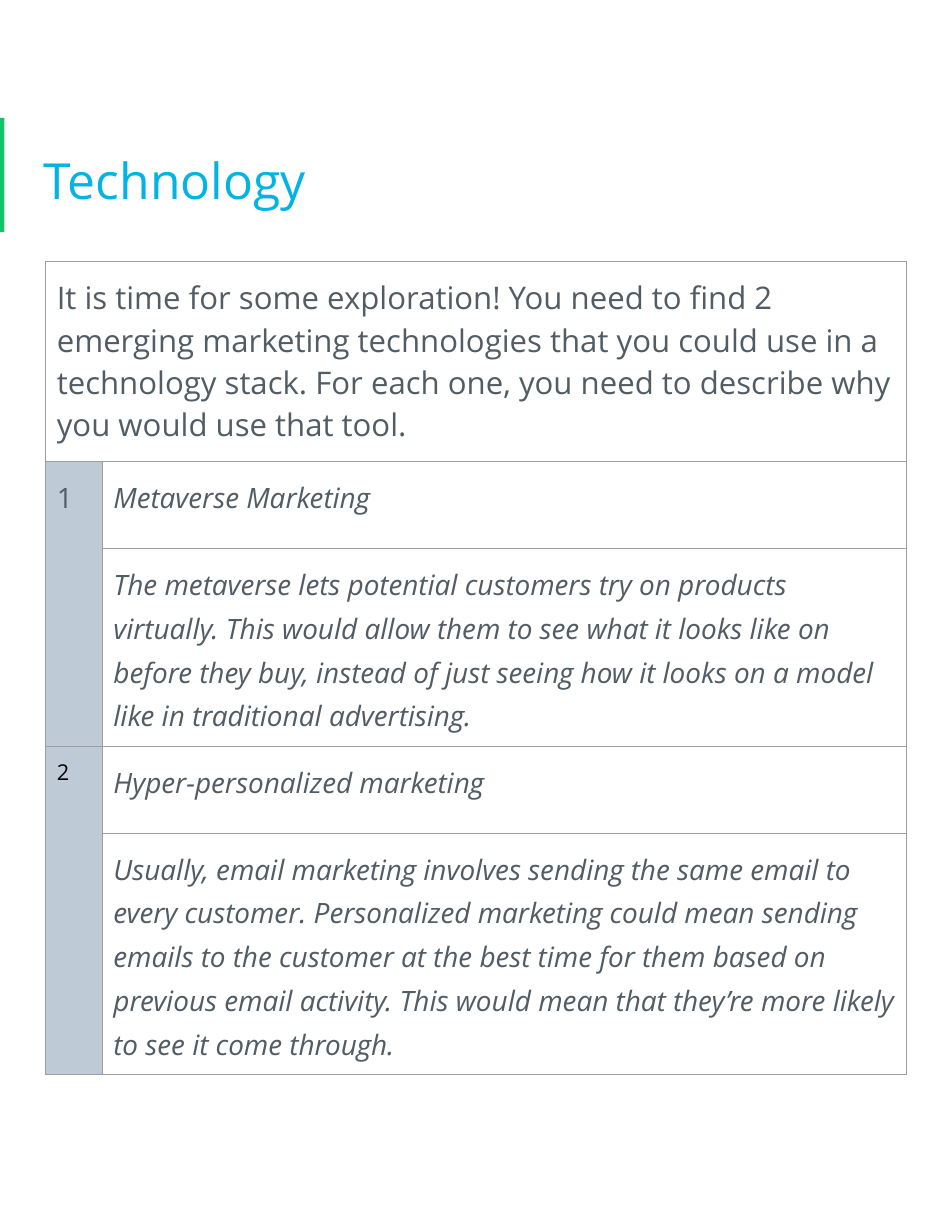
import lxml.etree
import pptx
import pptx.dml.color
import pptx.enum.shapes
import pptx.enum.text
import pptx.oxml.ns
import pptx.util

Pt = pptx.util.Pt
RGBColor = pptx.dml.color.RGBColor
MIDDLE = pptx.enum.text.MSO_ANCHOR.MIDDLE
TOP = pptx.enum.text.MSO_ANCHOR.TOP
qn = pptx.oxml.ns.qn

FONT = "Open Sans"
GREEN = RGBColor(0x15, 0xC2, 0x6B)
BLUE = RGBColor(0x02, 0xB3, 0xE4)
SLATE = RGBColor(0x52, 0x5C, 0x65)
BLACK = RGBColor(0, 0, 0)
PALE_BLUE = RGBColor(0xBE, 0xCB, 0xD6)
BORDER = RGBColor(0x9E, 0x9E, 0x9E)
INSET = Pt(7.2)


def add_borders(cell):
    properties = cell._tc.get_or_add_tcPr()
    for side in ("lnL", "lnR", "lnT", "lnB"):
        line = lxml.etree.SubElement(properties, qn(f"a:{side}"), w=str(Pt(0.75)))
        fill = lxml.etree.SubElement(line, qn("a:solidFill"))
        lxml.etree.SubElement(fill, qn("a:srgbClr"), val=str(BORDER))


def write(frame, text, size, color, italic=False, spacing=1.15):
    frame.text = text
    paragraph = frame.paragraphs[0]
    paragraph.alignment = pptx.enum.text.PP_ALIGN.LEFT
    paragraph.line_spacing = spacing
    font = paragraph.runs[0].font
    font.name, font.size, font.italic = FONT, Pt(size), italic
    font.color.rgb = color


deck = pptx.Presentation()
deck.slide_width, deck.slide_height = Pt(612), Pt(792)
slide = deck.slides.add_slide(deck.slide_layouts[5])

accent_bar = slide.shapes.add_shape(
    pptx.enum.shapes.MSO_SHAPE.RECTANGLE, 0, Pt(75.8), Pt(2.9), Pt(73.5))
accent_bar.shadow.inherit = False
accent_bar.fill.solid()
accent_bar.fill.fore_color.rgb = GREEN
accent_bar.line.fill.background()

title = slide.shapes.title
title.left, title.top, title.width, title.height = Pt(21), Pt(68.4), Pt(570), Pt(87.8)
frame = title.text_frame
frame.auto_size = pptx.enum.text.MSO_AUTO_SIZE.NONE
frame.vertical_anchor = MIDDLE
frame.margin_left = frame.margin_right = frame.margin_top = frame.margin_bottom = INSET
write(frame, "Technology", 32, BLUE)

# Table: one instruction row, then a name row and a reason row per technology
instruction = (
    "It is time for some exploration! You need to find 2 emerging marketing technologies "
    "that you could use in a technology stack. For each one, you need to describe why you "
    "would use that tool.")
technologies = [
    ("1", 18, SLATE, 1.15, "Metaverse Marketing",
     "The metaverse lets potential customers try on products virtually. This would allow them "
     "to see what it looks like on before they buy, instead of just seeing how it looks on a "
     "model like in traditional advertising."),
    ("2", 14, BLACK, 1.0, "Hyper-personalized marketing",
     "Usually, email marketing involves sending the same email to every customer. Personalized "
     "marketing could mean sending emails to the customer at the best time for them based on "
     "previous email activity. This would mean that they’re more likely to see it come through."),
]
column_widths = (36.4, 517)
row_heights = (129, 56, 101.5, 56, 105)

table = slide.shapes.add_table(
    len(row_heights), len(column_widths), Pt(29.3), Pt(167.8),
    Pt(sum(column_widths)), Pt(sum(row_heights))).table
table.first_row = table.horz_banding = False
for column, width in zip(table.columns, column_widths):
    column.width = Pt(width)
for row, height in zip(table.rows, row_heights):
    row.height = Pt(height)

for r in range(len(row_heights)):
    for c in range(len(column_widths)):
        cell = table.cell(r, c)
        cell.margin_left = cell.margin_right = cell.margin_top = cell.margin_bottom = INSET
        cell.vertical_anchor = TOP if r else MIDDLE
        add_borders(cell)
        if r and c == 0:
            cell.fill.solid()
            cell.fill.fore_color.rgb = PALE_BLUE
        else:
            cell.fill.background()

table.cell(0, 0).merge(table.cell(0, 1))
write(table.cell(0, 0).text_frame, instruction, 20, SLATE, spacing=1.0)
for i, (number, size, color, spacing, name, reason) in enumerate(technologies):
    top = 1 + 2 * i
    table.cell(top, 0).merge(table.cell(top + 1, 0))
    write(table.cell(top, 0).text_frame, number, size, color, spacing=spacing)
    write(table.cell(top, 1).text_frame, name, 18, SLATE, italic=True)
    write(table.cell(top + 1, 1).text_frame, reason, 18, SLATE, italic=True)

deck.save("out.pptx")
